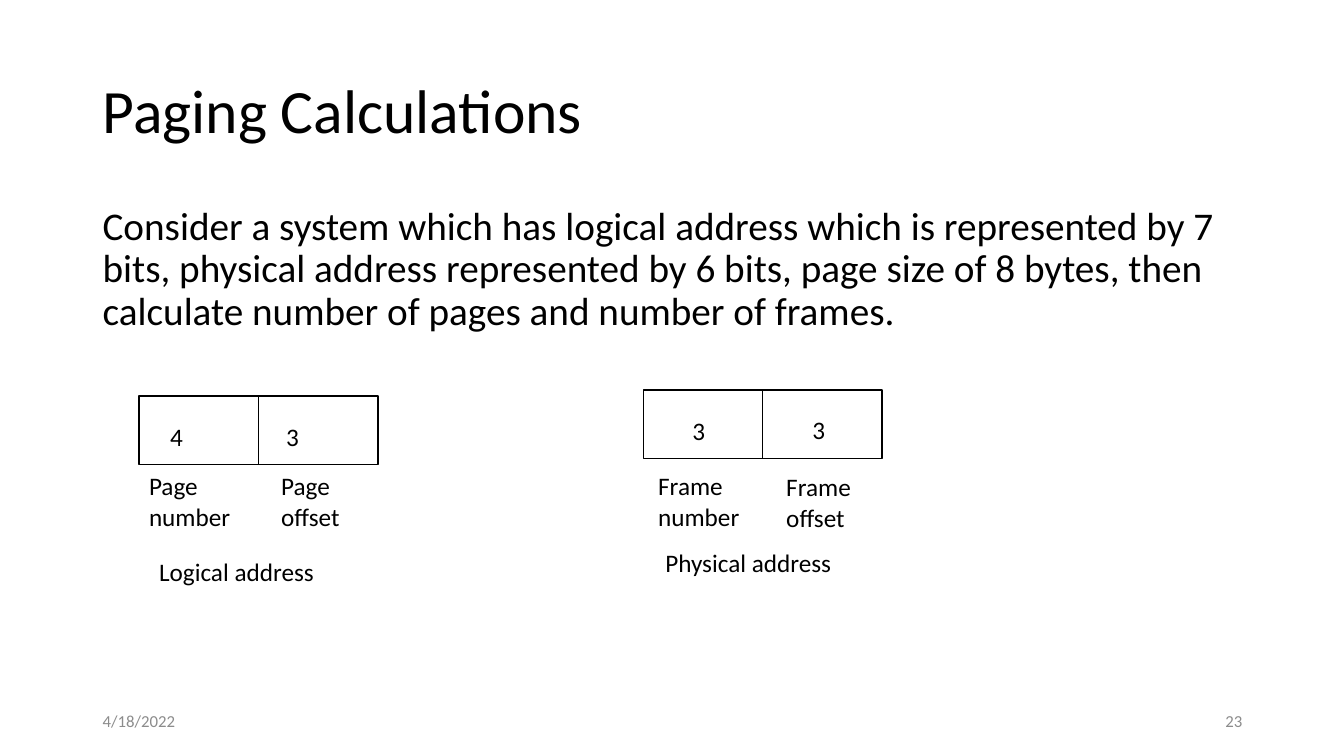
"""Build the Paging Calculations slide with its logical and physical address diagrams."""
from lxml import etree
from pptx import Presentation
from pptx import util as u
from pptx.dml.color import RGBColor
from pptx.enum import shapes, text
from pptx.oxml.ns import qn

COLORS = {"ink": "000000", "footer": "8C8C8C"}

deck = Presentation()
deck.slide_width, deck.slide_height = u.Inches(13.33), u.Inches(7.5)
page = deck.slides.add_slide(deck.slide_layouts[6])


def add_text(words, left, top, width, height, size=18, color="ink", anchor="TOP",
             align="LEFT", line_spacing=None, space_before=0):
    box = page.shapes.add_textbox(*map(u.Inches, (left, top, width, height)))
    frame = box.text_frame
    frame.word_wrap = True
    frame.vertical_anchor = getattr(text.MSO_ANCHOR, anchor)
    para = frame.paragraphs[0]
    para.alignment = getattr(text.PP_ALIGN, align)
    para.space_before = u.Pt(space_before)
    if line_spacing:
        para.line_spacing = line_spacing
    span = para.add_run()
    span.text = words
    span.font.name = "Calibri"
    span.font.size = u.Pt(size)
    span.font.color.rgb = RGBColor.from_string(COLORS[color])


add_text("Paging Calculations", 0.92, 0.4, 11.5, 1.45, size=44, anchor="MIDDLE",
         line_spacing=0.9)
add_text("Consider a system which has logical address which is represented by 7 bits, "
         "physical address represented by 6 bits, page size of 8 bytes, then calculate "
         "number of pages and number of frames.",
         0.92, 2, 11.5, 4.76, size=28, line_spacing=0.9, space_before=10)
add_text("4/18/2022", 0.92, 6.95, 3, 0.4, size=12, color="footer", anchor="MIDDLE")
add_text("23", 9.42, 6.95, 3, 0.4, size=12, color="footer", anchor="MIDDLE", align="RIGHT")

addresses = [
    (1.38, 3.93, [("4", 1.59, 4.13, 0.83, 0.4), ("3", 2.74, 4.13, 0.83, 0.4),
                  ("Page number", 1.38, 4.62, 1.2, 0.73),
                  ("Page offset", 2.69, 4.62, 1.04, 0.71),
                  ("Logical address", 1.48, 5.47, 1.87, 0.4)]),
    (6.38, 3.87, [("3", 6.77, 4.07, 0.83, 0.4), ("3", 7.96, 4.06, 0.83, 0.4),
                  ("Frame number", 6.43, 4.62, 1.2, 0.71),
                  ("Frame offset", 7.7, 4.63, 1.04, 0.71),
                  ("Physical address", 6.5, 5.38, 1.87, 0.4)]),
]
for left, top, labels in addresses:
    register = page.shapes.add_shape(shapes.MSO_SHAPE.RECTANGLE,
                                     *map(u.Inches, (left, top, 2.37, 0.68)))
    register.shadow.inherit = False
    register.fill.background()
    divider = page.shapes.add_connector(shapes.MSO_CONNECTOR.STRAIGHT, 0, 0, 0, 0)
    divider.begin_connect(register, 0)
    divider.end_connect(register, 2)
    for outline, weight in ((register.line, 1), (divider.line, 0.5)):
        outline.color.rgb = RGBColor.from_string(COLORS["ink"])
        outline.width = u.Pt(weight)
    etree.SubElement(divider.element.spPr, qn("a:effectLst"))
    for label in labels:
        add_text(*label)

deck.save("out.pptx")
